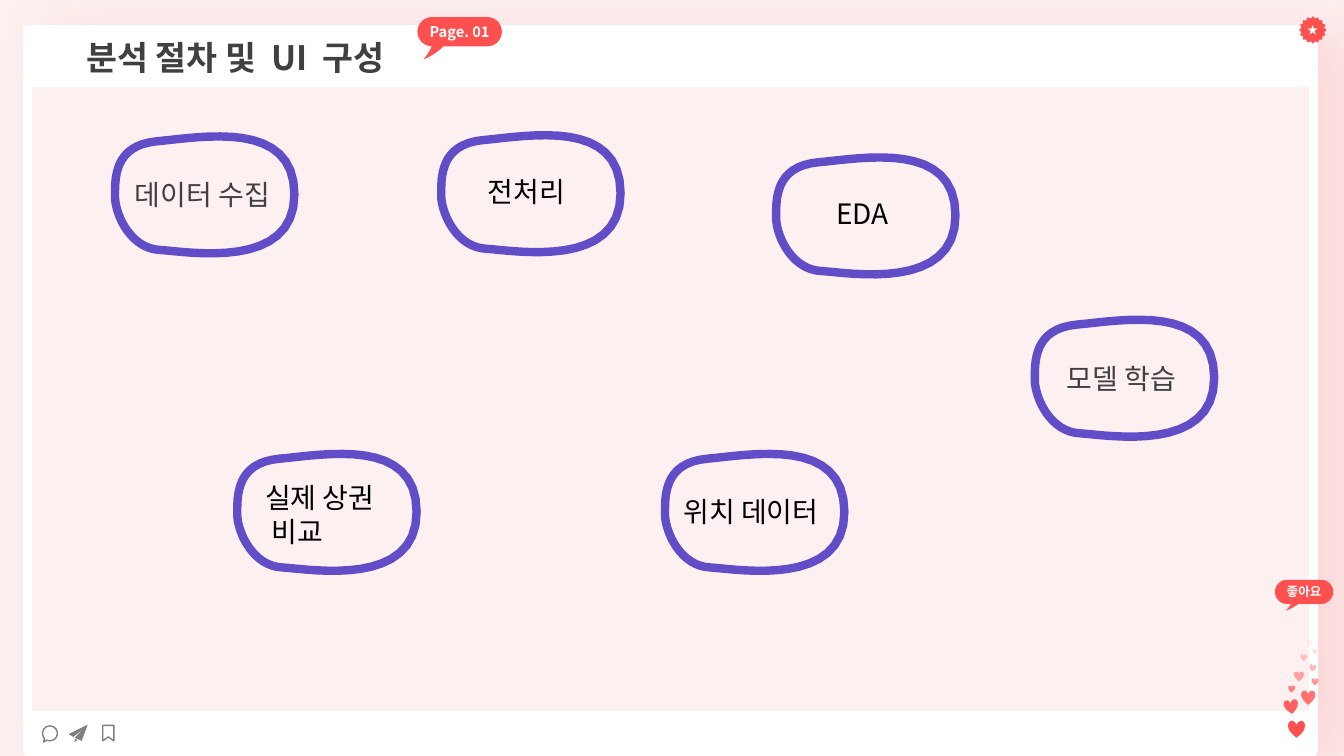
from lxml import etree
from pptx import Presentation
from pptx.dml.color import RGBColor
from pptx.enum import shapes, text
from pptx.oxml import ns
from pptx.util import Cm, Pt

FONT = "Noto Sans CJK KR"
RED, GREY, DARK, BLACK = "FF5050", "808080", "404040", "000000"
WHITE, BLUSH, PURPLE, GLOW = "FFFFFF", "FCF0F0", "624DC8", "FFBBBC"
KIND = shapes.MSO_SHAPE

# All lengths are centimetres.
TITLE = "분석 절차 및  UI  구성"
WINDOW = (0.69, 0.74, 32.41, 18.21)
CANVAS = (0.69, 2.08, 32.41, 15.95)
SEAL = (32.74, 0.41, 0.69, 0.69)
CHAT = (1.07, 18.29, 0.38, 0.38)

# label lines, ring left and top, label box, label colour
STEPS = [
    (["데이터 수집"], (2.9, 3.43), (3.15, 4.34, 4.32, 1.12), DARK),
    (["전처리"], (11.12, 3.4), (12.04, 4.27, 2.64, 1.12), BLACK),
    (["EDA"], (19.56, 3.96), (20.83, 4.83, 1.85, 1.12), BLACK),
    (["모델 학습"], (26.08, 8.05), (26.64, 8.99, 3.61, 1.12), DARK),
    (["위치 데이터"], (16.76, 11.43), (16.97, 12.34, 4.32, 1.12), BLACK),
    (["실제 상권", " 비교"], (5.98, 11.43), (6.43, 11.99, 3.61, 1.96), BLACK),
]
# label, size, pill box, tail left and top
BADGES = [
    ("Page. 01", 10.5, (10.52, 0.43, 2.13, 0.74), (10.67, 0.84)),
    ("좋아요", 9, (32.13, 14.61, 1.47, 0.61), (32.41, 14.73)),
]
# left, top, size, rotation, opacity in percent
HEARTS = [
    (32.46, 18.16, 0.43, 0, 100), (32.36, 17.63, 0.36, 351.3, 90),
    (32.79, 17.4, 0.36, 0, 80), (32.46, 17.27, 0.18, 0, 70),
    (33.05, 17.09, 0.18, 0, 60), (32.61, 16.92, 0.25, 0, 50),
    (32.99, 16.74, 0.18, 11.5, 40), (32.77, 16.48, 0.18, 0, 30),
    (33.07, 16.36, 0.13, 0, 20), (32.94, 16.13, 0.13, 0, 10),
]
RING_START = (0, 1.57)
RING_CURVES = [
    ((0, 1.09), (-0.05, 0.23), (1.07, 0.13)),
    ((2.18, 0.03), (4.52, -0.43), (4.52, 1.47)),
    ((4.52, 3.38), (1.88, 2.92), (1.14, 2.87)),
    ((0.41, 2.84), (0.03, 2.03), (0, 1.57)),
]
TAIL_TOP = [(0.71, 0), (0.26, 0)]
TAIL_START = (0.26, 0.05)
TAIL_CURVES = [
    ((0.28, 0.23), (0.18, 0.45), (0, 0.66)),
    ((0.31, 0.53), (0.56, 0.33), (0.66, 0.1)),
]
PLANE = [
    [(1.88, 18.62), (1.96, 18.65), (1.88, 18.7)],
    [(2.21, 18.26), (2.06, 18.67), (1.88, 18.59), (2.11, 18.36),
     (1.85, 18.57), (1.73, 18.5)],
]
BOOKMARK = [(2.59, 18.28), (2.87, 18.28), (2.87, 18.67), (2.73, 18.57),
            (2.59, 18.67)]


def colour(code):
    return RGBColor.from_string(code)


def paint(shape, fill=None, line=None, width=1):
    shape.shadow.inherit = False
    if fill:
        shape.fill.solid()
        shape.fill.fore_color.rgb = colour(fill)
    else:
        shape.fill.background()
    if line:
        shape.line.color.rgb = colour(line)
        shape.line.width = Pt(width)
    else:
        shape.line.fill.background()
    return shape


def add_alpha(colour_node, percent):
    etree.SubElement(colour_node, ns.qn("a:alpha"), val=str(percent * 1000))


def add_preset(page, kind, box, **look):
    shape = page.shapes.add_shape(kind, *map(Cm, box))
    return paint(shape, **look)


def trace(start, curves, steps=16):
    """Return points along a chain of cubic Bezier curves."""
    points = [start]
    for first, second, end in curves:
        begin = points[-1]
        for step in range(1, steps + 1):
            t = step / steps
            u = 1 - t
            points.append(tuple(
                u**3 * a + 3 * u * u * t * b + 3 * u * t * t * c + t**3 * d
                for a, b, c, d in zip(begin, first, second, end)))
    return points


def add_outline(page, contours, origin=(0, 0), **look):
    placed = [[(Cm(origin[0] + x), Cm(origin[1] + y)) for x, y in contour]
              for contour in contours]
    builder = page.shapes.build_freeform(*placed[0][0])
    for number, contour in enumerate(placed):
        if number:
            builder.move_to(*contour[0])
        builder.add_line_segments(contour[1:], close=True)
    return paint(builder.convert_to_shape(), **look)


def write(shape, lines, size, ink, bold=False, align=text.PP_ALIGN.LEFT,
          anchor=text.MSO_ANCHOR.TOP, wrap=False):
    frame = shape.text_frame
    frame.text = "\n".join(lines)
    frame.word_wrap = wrap
    frame.vertical_anchor = anchor
    for para in frame.paragraphs:
        para.alignment = align
        for span in para.runs:
            span.font.size = Pt(size)
            span.font.bold = bold
            span.font.name = FONT
            span.font.color.rgb = colour(ink)
            east = etree.SubElement(span.font._element, ns.qn("a:ea"))
            east.set("typeface", FONT)
    return frame


def write_centred(shape, label, size):
    return write(shape, [label], size, WHITE, True, text.PP_ALIGN.CENTER,
                 text.MSO_ANCHOR.MIDDLE)


def add_window(page):
    window = add_preset(page, KIND.RECTANGLE, WINDOW, fill=WHITE, line=WHITE, width=6.25)
    effects = window._element.spPr.find(ns.qn("a:effectLst"))
    shadow = etree.SubElement(
        effects, ns.qn("a:outerShdw"), blurRad=str(Pt(40)), dist=str(Pt(24)),
        dir=str(15 * 60000), algn="ctr", rotWithShape="0")
    add_alpha(etree.SubElement(shadow, ns.qn("a:srgbClr"), val=GLOW), 45)
    frame = write(window, [TITLE], 24, DARK, bold=True, wrap=True)
    frame.margin_top = Cm(0.2)
    props = frame.paragraphs[0]._p.get_or_add_pPr()
    props.set("marL", str(Cm(1.24)))
    props.set("indent", "0")
    add_preset(page, KIND.RECTANGLE, CANVAS, fill=BLUSH, line=WHITE, width=6.25)


def add_icons(page):
    seal = add_preset(page, KIND.STAR_16_POINT, SEAL, fill=RED)
    seal.adjustments[0] = 0.422
    write_centred(seal, "★", 8)
    add_outline(page, [BOOKMARK], line=GREY)
    add_outline(page, PLANE, fill=GREY)
    chat = add_preset(page, KIND.OVAL_CALLOUT, CHAT, line=GREY)
    chat.adjustments[0], chat.adjustments[1] = -0.419, 0.579


def add_hearts(page):
    for left, top, size, turn, opacity in HEARTS:
        heart = add_preset(page, KIND.HEART, (left, top, size, size), fill=RED)
        heart.rotation = turn
        add_alpha(heart._element.spPr.find(".//" + ns.qn("a:srgbClr")), opacity)


def add_badges(page):
    tail = TAIL_TOP + trace(TAIL_START, TAIL_CURVES)
    for label, size, box, tail_origin in BADGES:
        add_outline(page, [tail], tail_origin, fill=RED)
        pill = add_preset(page, KIND.ROUNDED_RECTANGLE, box, fill=RED)
        pill.adjustments[0] = 0.5
        write_centred(pill, label, size)


def add_steps(page):
    ring = trace(RING_START, RING_CURVES)
    for lines, origin, box, ink in STEPS:
        add_outline(page, [ring], origin, line=PURPLE, width=6)
        label = page.shapes.add_textbox(*map(Cm, box))
        frame = write(label, lines, 20, ink)
        frame.auto_size = text.MSO_AUTO_SIZE.SHAPE_TO_FIT_TEXT


def main():
    deck = Presentation()
    deck.slide_width, deck.slide_height = Cm(33.87), Cm(19.05)
    page = deck.slides.add_slide(deck.slide_layouts[6])
    page.background.fill.solid()
    page.background.fill.fore_color.rgb = colour(BLUSH)
    for add_part in (add_window, add_icons, add_hearts, add_badges, add_steps):
        add_part(page)
    deck.save("out.pptx")


if __name__ == "__main__":
    main()
